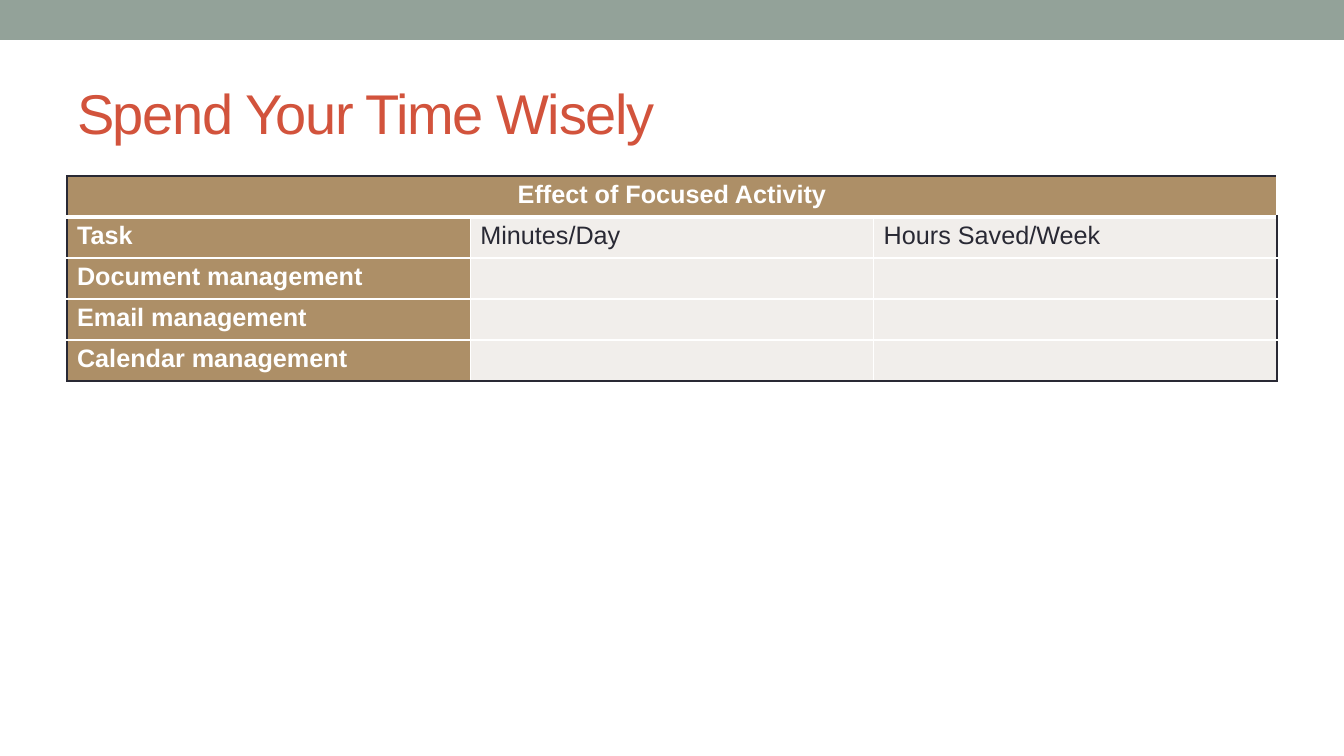
from pptx import Presentation
from pptx.dml.color import RGBColor
from pptx.enum.shapes import MSO_SHAPE as Shape
from pptx.enum.text import MSO_ANCHOR as Anchor, PP_ALIGN as Align
from pptx.oxml.ns import qn
from pptx.util import Pt
from lxml.etree import SubElement as Sub

# Content
TITLE = "Spend Your Time Wisely"
ROWS = [
    ("Effect of Focused Activity", "", ""),
    ("Task", "Minutes/Day", "Hours Saved/Week"),
    ("Document management", "", ""),
    ("Email management", "", ""),
    ("Calendar management", "", ""),
]

# Colours
SAGE = RGBColor(0x93, 0xA2, 0x99)
RUST = RGBColor(0xD2, 0x53, 0x3C)
TAN = RGBColor(0xAD, 0x8F, 0x67)
PALE = RGBColor(0xF1, 0xEE, 0xEB)
INK = RGBColor(0x29, 0x29, 0x34)
WHITE = RGBColor(0xFF, 0xFF, 0xFF)

# Lengths in px
WIDE, HIGH = 1344, 756
BAND = 40
LEFT, SPAN = 67, 1210
HEAD_TOP, HEAD_H = 58, 109
GRID_TOP, ROW_H = 176, 41

# Text formats
HEAD = dict(name="Arial", size=Pt(40), bold=False)
LABEL = dict(name="Arial", size=Pt(18), bold=True)
VALUE = dict(name="Arial", size=Pt(18), bold=False)


def px(n):
    return round(n * 914400 / 100.8)


def style(font, form, color):
    for key, val in form.items():
        setattr(font, key, val)
    font.color.rgb = color


def edge(cell, side, color, width):
    line = Sub(cell._tc.get_or_add_tcPr(), qn("a:ln" + side), w=str(Pt(width)))
    Sub(Sub(line, qn("a:solidFill")), qn("a:srgbClr"), val=str(color))


def main():
    deck = Presentation()
    deck.slide_width, deck.slide_height = px(WIDE), px(HIGH)
    slide = deck.slides.add_slide(deck.slide_layouts[5])

    # Top band
    band = slide.shapes.add_shape(Shape.RECTANGLE, 0, 0, px(WIDE), px(BAND))
    band.shadow.inherit = False
    band.fill.solid()
    band.fill.fore_color.rgb = SAGE
    band.line.fill.background()

    # Title
    title = slide.shapes.title
    title.left, title.top = px(LEFT), px(HEAD_TOP)
    title.width, title.height = px(SPAN), px(HEAD_H)
    frame = title.text_frame
    frame.text = TITLE
    frame.vertical_anchor = Anchor.MIDDLE
    para = frame.paragraphs[0]
    para.alignment = Align.LEFT
    run = para.runs[0]
    style(run.font, HEAD, RUST)
    run.font._element.set("spc", "-100")

    # Table
    last, end = len(ROWS) - 1, len(ROWS[0]) - 1
    grid = slide.shapes.add_table(
        len(ROWS), len(ROWS[0]), px(LEFT), px(GRID_TOP),
        px(SPAN), px(ROW_H * len(ROWS))).table
    grid.first_row = grid.horz_banding = False
    for r, row in enumerate(ROWS):
        grid.rows[r].height = px(ROW_H)
        for c, text in enumerate(row):
            cell = grid.cell(r, c)
            label = r == 0 or c == 0

            # Dark outer frame, white inner rules, thick rule under the header
            outer = dict(L=c == 0, R=c == end, T=r == 0, B=r == last)
            for side, dark in outer.items():
                thick = (r, side) in ((0, "B"), (1, "T"))
                edge(cell, side, INK if dark else WHITE, 3 if thick else 1)
            cell.fill.solid()
            cell.fill.fore_color.rgb = TAN if label else PALE

            cell.text = text
            para = cell.text_frame.paragraphs[0]
            para.alignment = Align.CENTER if r == 0 else Align.LEFT
            style(para.font, LABEL if label else VALUE, WHITE if label else INK)
            for run in para.runs:
                style(run.font, LABEL if label else VALUE, WHITE if label else INK)
    grid.cell(0, 0).merge(grid.cell(0, end))

    deck.save("out.pptx")


if __name__ == "__main__":
    main()
